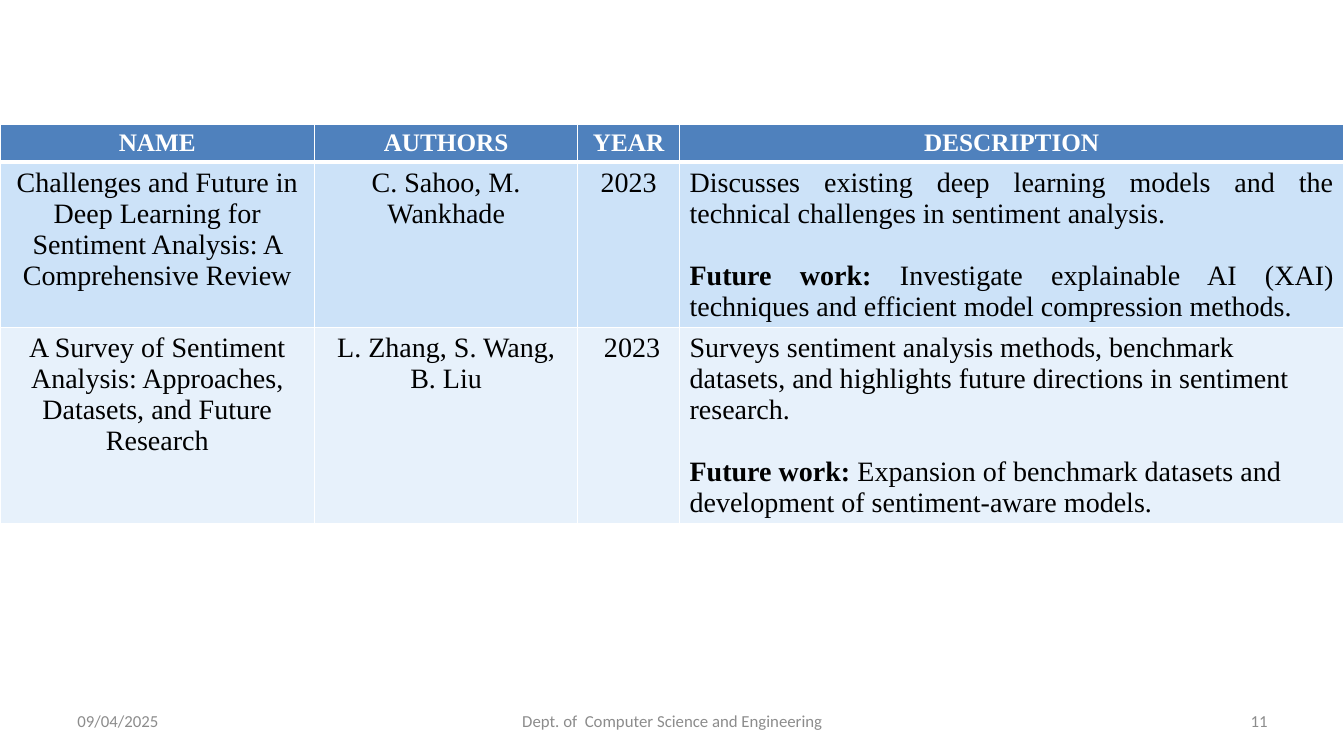
"""Builds a literature survey slide with a table and a footer."""
from lxml import etree
from pptx import Presentation
from pptx.dml.color import RGBColor
from pptx.enum.text import MSO_ANCHOR, PP_ALIGN
from pptx.oxml.ns import qn
from pptx.util import Inches, Pt

LEFT, CENTER, RIGHT, JUSTIFY = PP_ALIGN.LEFT, PP_ALIGN.CENTER, PP_ALIGN.RIGHT, PP_ALIGN.JUSTIFY
TOP, MIDDLE = MSO_ANCHOR.TOP, MSO_ANCHOR.MIDDLE

COLORS = {"header": "4F81BD", "band1": "CCE2F8", "band2": "E7F1FB",
          "white": "FFFFFF", "black": "000000", "footer": "8C8C8C"}
COL_WIDTHS = [3.12, 2.61, 1.01, 6.59]
ROW_HEIGHTS = [0.37, 1.64, 1.95]
HEADERS = ["NAME", "AUTHORS", "YEAR", "DESCRIPTION"]
PAPERS = [
    ("Challenges and Future in Deep Learning for Sentiment Analysis: A Comprehensive Review",
     "C. Sahoo, M. Wankhade", "2023",
     "Discusses existing deep learning models and the technical challenges in sentiment analysis.",
     "Investigate explainable AI (XAI) techniques and efficient model compression methods.",
     "band1", JUSTIFY, TOP),
    ("A Survey of Sentiment Analysis: Approaches, Datasets, and Future Research",
     "L. Zhang, S. Wang, B. Liu", " 2023",
     "Surveys sentiment analysis methods, benchmark datasets, and highlights future directions"
     " in sentiment research.",
     "Expansion of benchmark datasets and development of sentiment-aware models.",
     "band2", LEFT, MIDDLE),
]
FOOTERS = [(0.67, 3.11, "09/04/2025", LEFT),
           (4.56, 4.22, "Dept. of  Computer Science and Engineering", CENTER),
           (9.56, 3.11, "11", RIGHT)]


def rgb(name):
    return RGBColor.from_string(COLORS[name])


def format_paragraph(p, size, color, align, font="Times New Roman", bold=None):
    p.alignment = align
    p.font.name, p.font.size, p.font.bold = font, Pt(size), bold
    p.font.color.rgb = rgb(color)


def style_cell(cell, fill, bottom=1):
    tc_pr = cell._tc.get_or_add_tcPr()
    for tag, width in (("lnL", 1), ("lnR", 1), ("lnT", 1), ("lnB", bottom)):
        ln = etree.SubElement(tc_pr, qn(f"a:{tag}"), w=str(Pt(width)))
        solid = etree.SubElement(ln, qn("a:solidFill"))
        etree.SubElement(solid, qn("a:srgbClr"), val=COLORS["white"])
    cell.fill.solid()
    cell.fill.fore_color.rgb = rgb(fill)


def fill_description(cell, summary, future, align, anchor):
    tf = cell.text_frame
    cell.vertical_anchor = anchor
    tf.text = summary
    p = tf.add_paragraph()
    p.space_before = Pt(22)
    for text, bold in (("Future work: ", True), (future, False)):
        r = p.add_run()
        r.text, r.font.bold = text, bold
    for p in tf.paragraphs:
        format_paragraph(p, 20, "black", align)


def add_survey_table(s):
    frame = s.shapes.add_table(len(ROW_HEIGHTS), len(COL_WIDTHS), Inches(0), Inches(1.23),
                               Inches(sum(COL_WIDTHS)), Inches(sum(ROW_HEIGHTS)))
    table = frame.table
    for col, width in zip(table.columns, COL_WIDTHS):
        col.width = Inches(width)
    for row, height in zip(table.rows, ROW_HEIGHTS):
        row.height = Inches(height)
    for cell, text in zip(table.rows[0].cells, HEADERS):
        style_cell(cell, "header", bottom=3)
        cell.text = text
        format_paragraph(cell.text_frame.paragraphs[0], 18, "white", CENTER, bold=True)
    for i, (*texts, summary, future, band, align, anchor) in enumerate(PAPERS, 1):
        for cell in table.rows[i].cells:
            style_cell(cell, band)
        for j, text in enumerate(texts):
            cell = table.cell(i, j)
            cell.text = text
            format_paragraph(cell.text_frame.paragraphs[0], 20, "black", CENTER, bold=False)
        fill_description(table.cell(i, 3), summary, future, align, anchor)


def add_footer(s, left, width, text, align):
    tf = s.shapes.add_textbox(Inches(left), Inches(6.95), Inches(width), Inches(0.4)).text_frame
    tf.word_wrap = True
    tf.vertical_anchor = MIDDLE
    tf.text = text
    format_paragraph(tf.paragraphs[0], 12, "footer", align, font="Calibri")


def main():
    prs = Presentation()
    prs.slide_width, prs.slide_height = Inches(13.33), Inches(7.5)
    s = prs.slides.add_slide(prs.slide_layouts[6])
    add_survey_table(s)
    for footer in FOOTERS:
        add_footer(s, *footer)
    prs.save("out.pptx")


if __name__ == "__main__":
    main()
